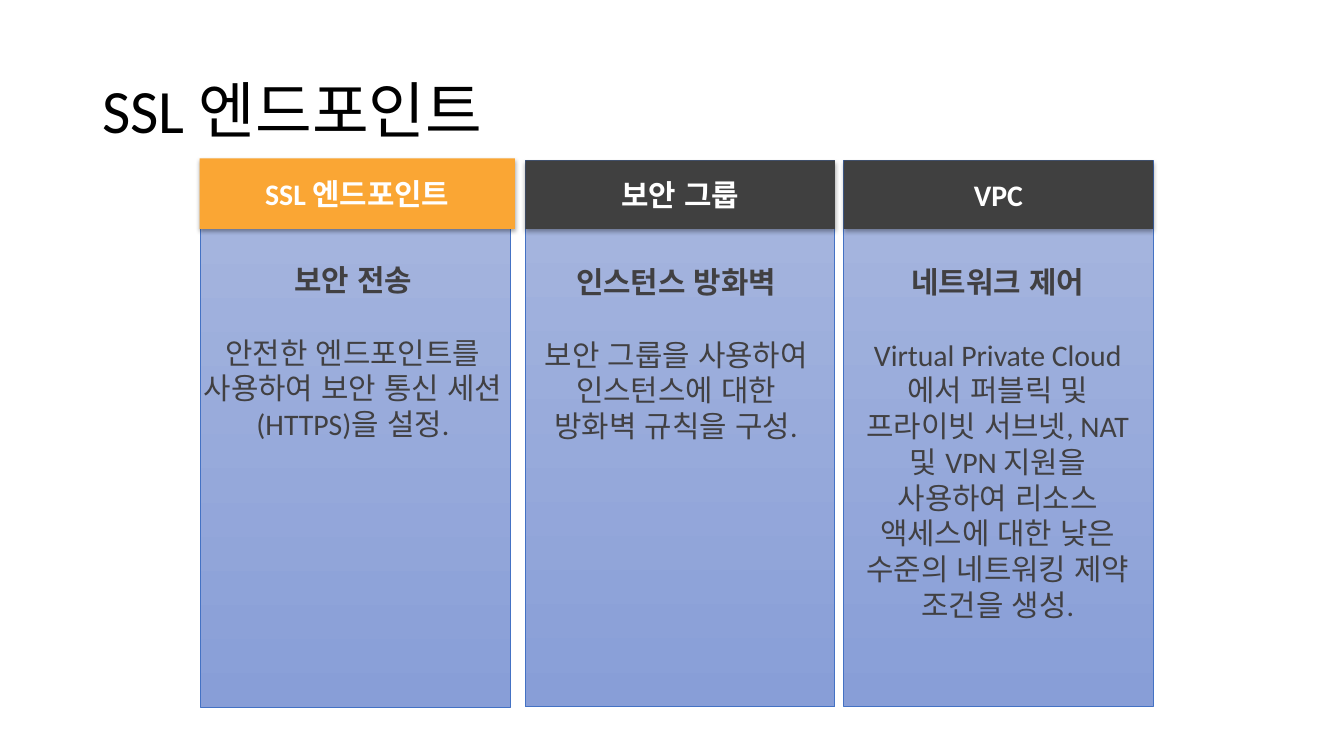
"""Build a slide with three columns on endpoint, group and network security."""
from dataclasses import dataclass

from lxml.etree import SubElement
from pptx import Presentation
from pptx.dml.color import RGBColor
from pptx.enum.lang import MSO_LANGUAGE_ID
from pptx.enum.shapes import MSO_SHAPE
from pptx.enum.text import MSO_ANCHOR, PP_ALIGN
from pptx.oxml.ns import qn
from pptx.util import Cm, Pt


@dataclass
class Theme:
    face: str = "Calibri"
    title: float = 44
    text: float = 21.3
    gap: float = 26
    black: str = "000000"
    white: str = "FFFFFF"
    ink: str = "414042"
    dark: str = "404040"
    gold: str = "FAA634"
    edge: str = "4472C4"
    top: str = "A8B7DF"
    base: str = "889ED7"


theme = Theme()


def style(para, size, color, bold=False):
    for run in para.runs:
        font = run.font
        font.name, font.size, font.bold = theme.face, Pt(size), bold
        font.color.rgb = RGBColor.from_string(color)
        font.language_id = MSO_LANGUAGE_ID.KOREAN


def shade(shape):
    shape.shadow.inherit = False
    effect = shape._element.spPr.find(qn("a:effectLst"))
    outer = SubElement(effect, qn("a:outerShdw"), blurRad="40000",
                       dist="23000", dir="5400000", rotWithShape="0")
    color = SubElement(outer, qn("a:srgbClr"), val=theme.black)
    SubElement(color, qn("a:alpha"), val="35000")


deck = Presentation()
deck.slide_width, deck.slide_height = Cm(33.87), Cm(19.05)
slide = deck.slides.add_slide(deck.slide_layouts[6])
shapes = slide.shapes

title = shapes.add_textbox(Cm(2.33), Cm(1.01), Cm(29.21), Cm(3.68)).text_frame
title.word_wrap = True
title.vertical_anchor = MSO_ANCHOR.MIDDLE
title.text = "SSL 엔드포인트"
title.paragraphs[0].line_spacing = 0.9
style(title.paragraphs[0], theme.title, theme.black)

columns = [
    (5.06, 4.06, (5.03, 3.99, 7.95, 1.78), (4.83, 6.48, 8.13, 5.72), theme.gold,
     "SSL 엔드포인트", "보안 전송",
     "안전한 엔드포인트를 사용하여 보안 통신 세션(HTTPS)을 설정."),
    (13.24, 4.04, (13.24, 4.04, 7.8, 1.73), (13.28, 6.53, 7.52, 6.63), theme.dark,
     "보안 그룹", "인스턴스 방화벽",
     "보안 그룹을 사용하여 인스턴스에 대한 방화벽 규칙을 구성."),
    (21.26, 4.04, (21.26, 4.04, 7.8, 1.73), (21.36, 6.53, 7.57, 9.37), theme.dark,
     "VPC", "네트워크 제어",
     "Virtual Private Cloud에서 퍼블릭 및 프라이빗 서브넷, NAT 및 VPN 지원을 "
     "사용하여 리소스 액세스에 대한 낮은 수준의 네트워킹 제약 조건을 생성."),
]

for left, top, head, body, color, name, lead, note in columns:
    panel = shapes.add_shape(MSO_SHAPE.RECTANGLE, Cm(left), Cm(top), Cm(7.8), Cm(13.77))
    panel.shadow.inherit = False
    panel.fill.gradient()
    panel.fill.gradient_angle = 270
    for stop, tint in zip(panel.fill.gradient_stops, (theme.top, theme.base)):
        stop.color.rgb = RGBColor.from_string(tint)
    panel.line.color.rgb = RGBColor.from_string(theme.edge)
    panel.line.width = Pt(0.5)

    label = shapes.add_shape(MSO_SHAPE.RECTANGLE, *map(Cm, head))
    shade(label)
    label.fill.solid()
    label.fill.fore_color.rgb = RGBColor.from_string(color)
    label.line.fill.background()
    label.text_frame.text = name
    label.text_frame.vertical_anchor = MSO_ANCHOR.MIDDLE
    label.text_frame.paragraphs[0].alignment = PP_ALIGN.CENTER
    style(label.text_frame.paragraphs[0], theme.text, theme.white, True)

    frame = shapes.add_textbox(*map(Cm, body)).text_frame
    frame.word_wrap = True
    frame.text = lead
    detail = frame.add_paragraph()
    detail.text = note
    detail.space_before = Pt(theme.gap)
    for para in frame.paragraphs:
        para.alignment = PP_ALIGN.CENTER
    style(frame.paragraphs[0], theme.text, theme.ink, True)
    style(detail, theme.text, theme.ink)

deck.save("out.pptx")
